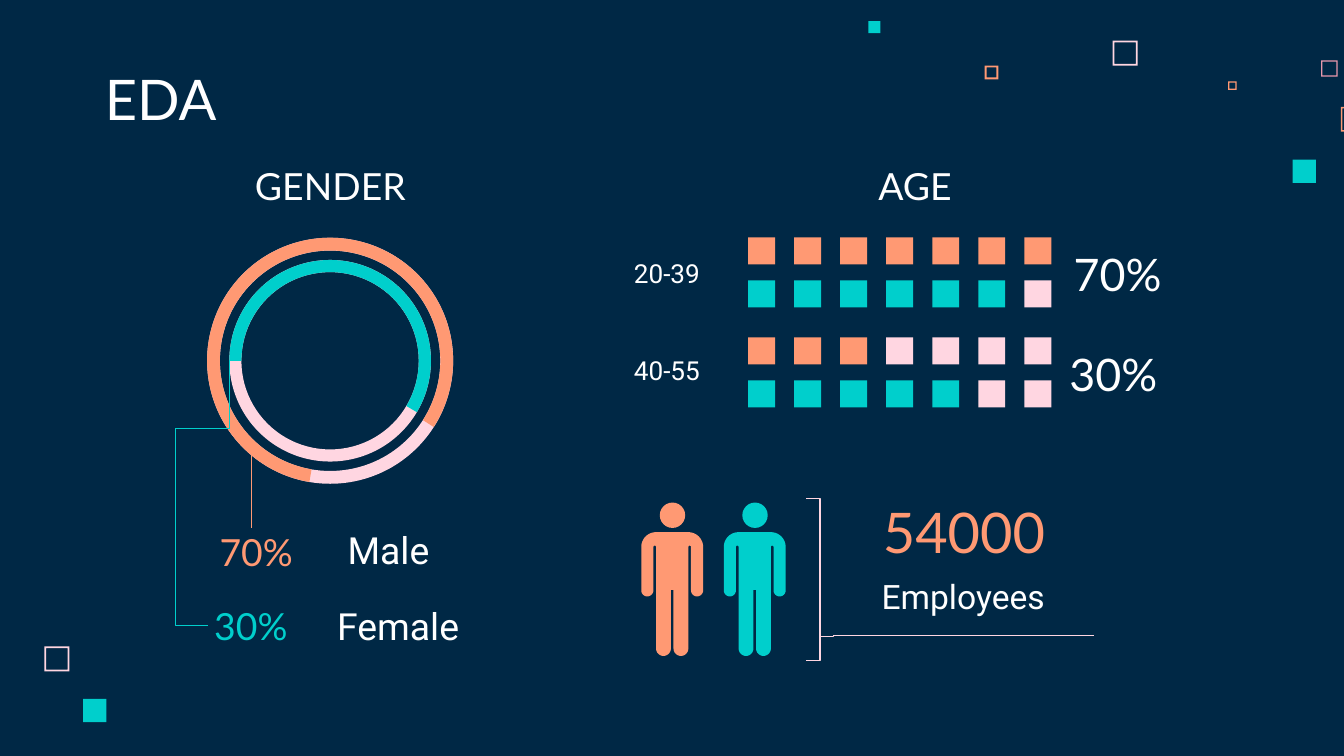
from math import cos, radians, sin

from lxml import etree
from pptx import Presentation
from pptx.dml.color import RGBColor
from pptx.enum.shapes import MSO_CONNECTOR, MSO_SHAPE
from pptx.enum.text import MSO_ANCHOR, PP_ALIGN
from pptx.oxml.ns import qn
from pptx.util import Cm, Pt

LEFT, CENTER, RIGHT = PP_ALIGN.LEFT, PP_ALIGN.CENTER, PP_ALIGN.RIGHT
TOP, MIDDLE, BOTTOM = MSO_ANCHOR.TOP, MSO_ANCHOR.MIDDLE, MSO_ANCHOR.BOTTOM
RECT, OVAL, FRAME = MSO_SHAPE.RECTANGLE, MSO_SHAPE.OVAL, MSO_SHAPE.FRAME
DONUT, ARC, BRACE = MSO_SHAPE.DONUT, MSO_SHAPE.BLOCK_ARC, MSO_SHAPE.RIGHT_BRACE
STRAIGHT, ELBOW = MSO_CONNECTOR.STRAIGHT, MSO_CONNECTOR.ELBOW

COLORS = {"navy": "002845", "white": "FFFFFF", "orange": "FF9973",
          "teal": "00CFCC", "pink": "FFD6E1", "rose": "E898AC"}
LINE_H = 1.09  # height of a one-line text box, cm


def rgb(name):
    return RGBColor.from_string(COLORS[name])


def set_text(sp, text, size, font, color, align, anchor):
    tf = sp.text_frame
    tf.word_wrap = True
    tf.vertical_anchor = anchor
    tf.margin_left = tf.margin_right = tf.margin_top = tf.margin_bottom = Cm(0.25)
    p = tf.paragraphs[0]
    p.alignment = align
    r = p.add_run()
    r.text = text
    r.font.size = Pt(size)
    r.font.name = font
    r.font.color.rgb = rgb(color)


def add_text(slide, x, y, w, text, size, font="Lato", color="white",
             align=LEFT, anchor=TOP):
    sp = slide.shapes.add_textbox(Cm(x), Cm(y), Cm(w), Cm(LINE_H))
    set_text(sp, text, size, font, color, align, anchor)


def paint(sp, color):
    sp.shadow.inherit = False
    sp.fill.solid()
    sp.fill.fore_color.rgb = rgb(color)
    sp.line.fill.background()


def add_filled(shapes, kind, x, y, size, color, adjustments=()):
    sp = shapes.add_shape(kind, Cm(x), Cm(y), Cm(size), Cm(size))
    for i, value in enumerate(adjustments):
        sp.adjustments[i] = value
    paint(sp, color)


def add_line(slide, x1, y1, x2, y2, color, kind=STRAIGHT):
    line = slide.shapes.add_connector(kind, Cm(x1), Cm(y1), Cm(x2), Cm(y2))
    line.line.color.rgb = rgb(color)
    line.line.width = Pt(0.75)
    etree.SubElement(line._element.spPr, qn("a:effectLst"))
    return line


def add_four_part_elbow(slide, x1, y1, x2, y2, color, bends):
    """Elbow that leaves downwards: its frame is turned by 90 degrees."""
    cx, cy = (x1 + x2) / 2, (y1 + y2) / 2
    half_w, half_h = (y2 - y1) / 2, (x1 - x2) / 2
    line = add_line(slide, cx - half_w, cy - half_h, cx + half_w, cy + half_h,
                    color, ELBOW)
    sp_pr = line._element.spPr
    sp_pr.find(qn("a:xfrm")).set("rot", "5400000")
    geom = sp_pr.find(qn("a:prstGeom"))
    geom.set("prst", "bentConnector4")
    guides = geom.find(qn("a:avLst"))
    for i, bend in enumerate(bends, 1):
        etree.SubElement(guides, qn("a:gd"), name=f"adj{i}",
                         fmla=f"val {round(bend * 100000)}")


def arc_points(cx, cy, radius, start, end, steps=12):
    angles = [radians(start + (end - start) * i / steps) for i in range(steps + 1)]
    return [(cx + radius * cos(a), cy + radius * sin(a)) for a in angles]


def add_person(slide, x, y, color):
    shapes = slide.shapes.add_group_shape().shapes
    # Body outline, clockwise from the left shoulder
    outline = (arc_points(0.28, 0.28, 0.28, 180, 270)
               + arc_points(0.89, 0.28, 0.28, 270, 360)
               + arc_points(1.055, 1.1, 0.115, 0, 180)
               + arc_points(0.915, 0.28, 0.025, 0, -180)
               + arc_points(0.75, 2.2, 0.14, 0, 180)
               + [(0.61, 1.09), (0.56, 1.09)]
               + arc_points(0.42, 2.2, 0.14, 0, 180)
               + arc_points(0.255, 0.28, 0.025, 0, -180)
               + arc_points(0.115, 1.1, 0.115, 0, 180))
    points = [(Cm(x + px), Cm(y + 0.56 + py)) for px, py in outline]
    builder = shapes.build_freeform(*points[0])
    builder.add_line_segments(points[1:], close=True)
    paint(builder.convert_to_shape(), color)
    add_filled(shapes, OVAL, x + 0.35, y, 0.48, color)


def add_decor(slide):
    for x, y, size, color, border in (
            (21.03, 0.77, 0.47, "pink", 0.07), (24.97, 1.14, 0.31, "rose", 0.08),
            (23.21, 1.54, 0.16, "orange", 0.15), (25.34, 2.02, 0.47, "orange", 0.06),
            (18.61, 1.24, 0.26, "orange", 0.14), (0.84, 12.22, 0.47, "pink", 0.07)):
        add_filled(slide.shapes, FRAME, x, y, size, color, [border])
    for x, y, size in ((24.43, 3.02, 0.44), (16.41, 0.4, 0.23), (1.57, 13.21, 0.44)):
        add_filled(slide.shapes, RECT, x, y, size, "teal")


def add_title(slide, x, y, w, h):
    title = slide.shapes.title
    title.left, title.top, title.width, title.height = Cm(x), Cm(y), Cm(w), Cm(h)
    set_text(title, "EDA", 30, "Lato", "white", LEFT, BOTTOM)


def add_gender(slide, x, y):
    add_text(slide, x + 0.33, y, 5.23, "GENDER", 20, align=CENTER)
    # Two concentric rings, each with a coloured share
    cx, cy = x + 2.94, y + 3.98
    for size, color, start, end, width in ((4.65, "orange", 59.81, 19.57, 0.052),
                                           (3.81, "teal", 108, 18.4, 0.06)):
        box = (cx - size / 2, cy - size / 2, size)
        add_filled(slide.shapes, DONUT, *box, "pink", [width])
        add_filled(slide.shapes, ARC, *box, color, [start, end, width])
    # Legend and leader lines
    for dx, dy, w, text, font, color in (
            (0.6, 6.91, 3.8, "70%", "Lato", "orange"),
            (0.5, 8.31, 3.95, "30%", "Lato", "teal"),
            (3.02, 6.88, 2.34, "Male", "Roboto", "white"),
            (2.82, 8.31, 3.35, "Female", "Roboto", "white")):
        add_text(slide, x + dx, y + dy, w, text, 20, font, color)
    add_four_part_elbow(slide, x + 1.04, y + 3.97, x + 0.64, y + 8.99, "teal",
                        (0.257, 2.55))
    add_line(slide, x + 1.45, y + 7.14, x + 1.45, y + 5.69, "orange")


def add_age(slide, x, y):
    add_text(slide, x + 4.55, y, 5.23, "AGE", 20, align=CENTER)
    columns, pitch, size = 7, 0.87, 0.51
    groups = (("20-39", 1.78, "70%", 9.91, 1.78, 7, 6),
              ("40-55", 3.61, "30%", 9.83, 3.68, 3, 5))
    for i, (label, label_y, share, share_x, share_y, *counts) in enumerate(groups):
        add_text(slide, x, y + label_y, 3.35, label, 14, "Roboto",
                 align=RIGHT, anchor=MIDDLE)
        for j, (count, color) in enumerate(zip(counts, ("orange", "teal"))):
            for k in range(columns):
                add_filled(slide.shapes, RECT, x + 4.01 + k * pitch,
                           y + 1.65 + i * 1.89 + j * 0.81, size,
                           color if k < count else "pink")
        add_text(slide, x + share_x, y + share_y, 3.35, share, 24, anchor=MIDDLE)


def add_employees(slide, x, y):
    for i, color in enumerate(("orange", "teal")):
        add_person(slide, x + i * 1.56, y + 0.08, color)
    # Bracket and rule
    brace = slide.shapes.add_shape(BRACE, Cm(x + 3.12), Cm(y), Cm(0.51), Cm(3.07))
    brace.adjustments[0], brace.adjustments[1] = 0, 0.85
    brace.shadow.inherit = False
    brace.fill.background()
    brace.line.color.rgb = rgb("pink")
    brace.line.width = Pt(0.75)
    add_line(slide, x + 3.63, y + 2.59, x + 8.56, y + 2.59, "pink")
    add_text(slide, x + 3.89, y + 0.08, 4.42, "54000", 30, color="orange",
             align=CENTER, anchor=MIDDLE)
    add_text(slide, x + 3.66, y + 1.22, 4.85, "Employees", 18, "Roboto", align=CENTER)


def main():
    prs = Presentation()
    prs.slide_width, prs.slide_height = Cm(25.4), Cm(14.29)
    slide = prs.slides.add_slide(prs.slide_layouts[5])
    slide.background.fill.solid()
    slide.background.fill.fore_color.rgb = rgb("navy")
    add_decor(slide)
    add_title(slide, 1.73, 1.14, 13.13, 1.6)
    add_gender(slide, 3.3, 2.84)
    add_age(slide, 10.13, 2.84)
    add_employees(slide, 12.12, 9.42)
    prs.save("out.pptx")


if __name__ == "__main__":
    main()
